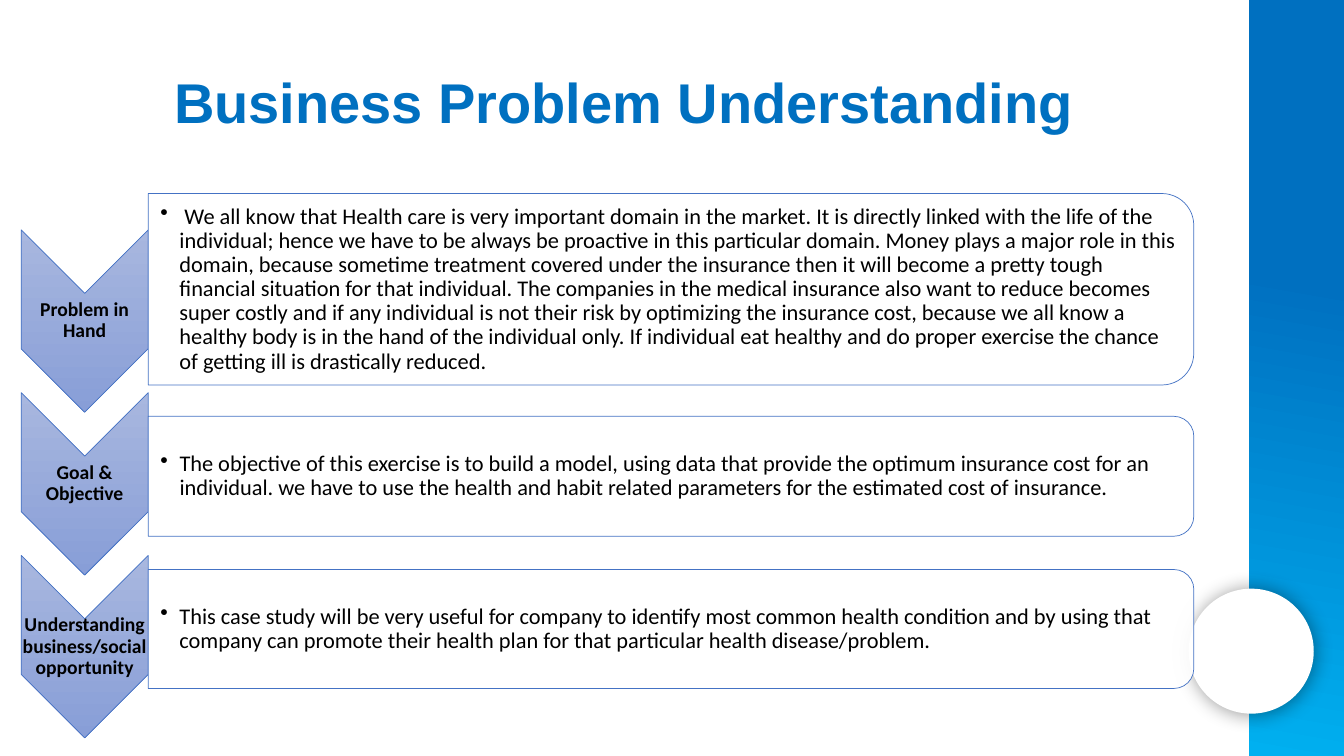
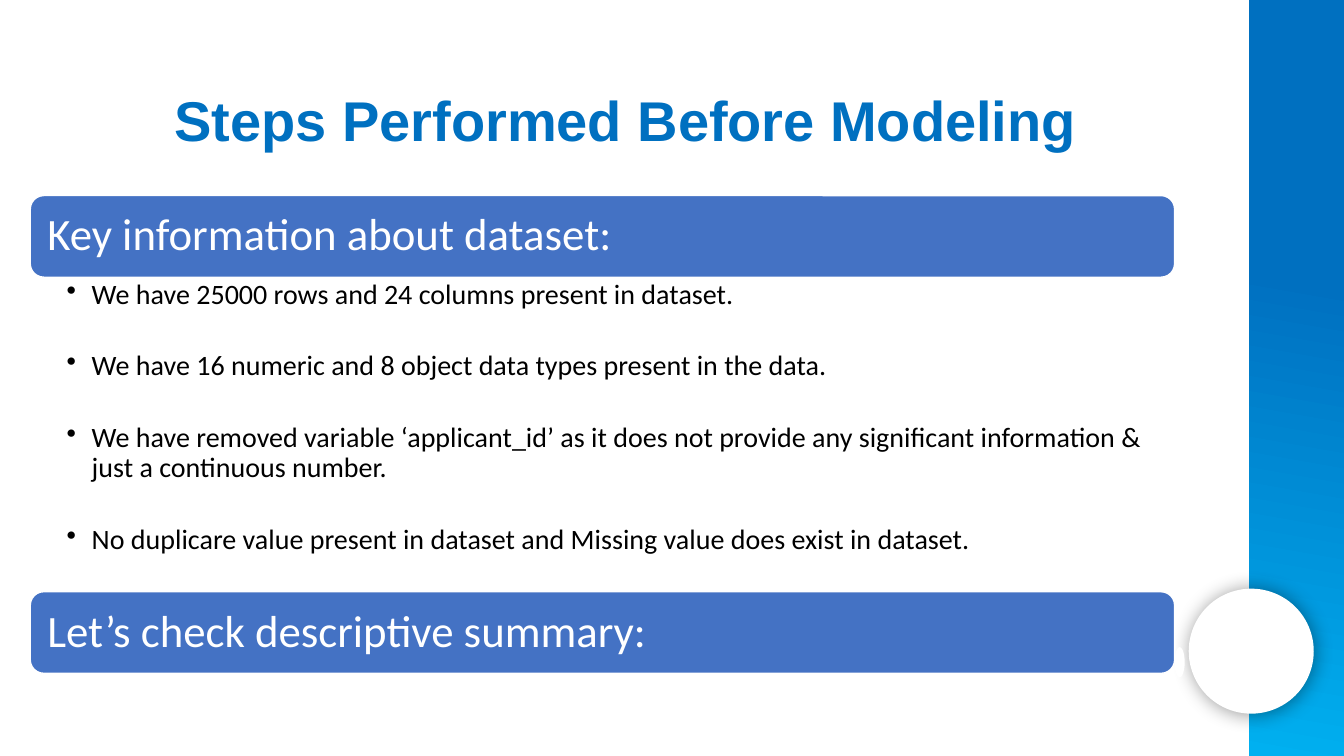
"""Build two health insurance slides: business problem and data preparation."""
from dataclasses import dataclass

from lxml import etree
from pptx import Presentation
from pptx.dml.color import RGBColor
from pptx.enum import shapes, text
from pptx.oxml.ns import qn
from pptx.util import Inches, Pt


@dataclass(frozen=True)
class Theme:
    """Colours, fonts and type sizes shared by the slides."""
    blue: str = "0070C0"
    sky: str = "00B0F0"
    accent: str = "4472C4"
    chevron_top: str = "A8B7DF"
    chevron_bottom: str = "889ED7"
    white: str = "FFFFFF"
    black: str = "000000"
    title_font: str = "Arial"
    body_font: str = "Calibri"
    title_size: int = 40
    heading_size: int = 32
    list_size: int = 20
    panel_size: int = 16
    label_size: int = 14


THEME = Theme()
PRESET = shapes.MSO_SHAPE
ALIGN = text.PP_ALIGN
ANCHOR = text.MSO_ANCHOR

PROBLEM_ROWS = [
    ("Problem in Hand", 1.92, 1.9,
     " We all know that Health care is very important domain in the market. "
     "It is directly linked with the life of the individual; hence we have to be "
     "always be proactive in this particular domain. Money plays a major role in "
     "this domain, because sometime treatment covered under the insurance then it "
     "will become a pretty tough financial situation for that individual. The "
     "companies in the medical insurance also want to reduce becomes super costly "
     "and if any individual is not their risk by optimizing the insurance cost, "
     "because we all know a healthy body is in the hand of the individual only. If "
     "individual eat healthy and do proper exercise the chance of getting ill is "
     "drastically reduced."),
    ("Goal & Objective", 4.13, 1.19,
     "The objective of this exercise is to build a model, using data that provide "
     "the optimum insurance cost for an individual. we have to use the health and "
     "habit related parameters for the estimated cost of insurance."),
    ("Understanding business/social opportunity", 5.65, 1.18,
     "This case study will be very useful for company to identify most common "
     "health condition and by using that company can promote their health plan for "
     "that particular health disease/problem."),
]

DATASET_FACTS = [
    "We have 25000 rows and 24 columns present in dataset.",
    "We have 16 numeric and 8 object data types present in the data.",
    "We have removed variable ‘applicant_id’ as it does not provide any significant "
    "information & just a continuous number.",
    "No duplicare value present in dataset and Missing value does exist in dataset.",
]


def rgb(value):
    """Turn a hex string into a colour."""
    return RGBColor.from_string(value)


def add_shape(slide, preset, box, fill=None, line=None, width=0.5):
    """Add a flat preset shape at a box of left, top, width and height."""
    shape = slide.shapes.add_shape(preset, *map(Inches, box))
    shape.shadow.inherit = False
    if fill:
        shape.fill.solid()
        shape.fill.fore_color.rgb = rgb(fill)
    if line:
        shape.line.color.rgb = rgb(line)
        shape.line.width = Pt(width)
    else:
        shape.line.fill.background()
    return shape


def add_turned_shape(slide, preset, box, **style):
    """Add a shape turned a quarter clockwise that covers the given box."""
    left, top, width, height = box
    shift = (width - height) / 2
    turned_box = (left + shift, top - shift, height, width)
    shape = add_shape(slide, preset, turned_box, **style)
    shape.rotation = 90
    return shape


def set_gradient(shape, start, end, angle, first_stop=0):
    """Fill a shape with a gradient whose clockwise angle stays with the slide."""
    shape.fill.gradient()
    shape.fill.gradient_angle = 360 - angle
    stops = zip(shape.fill.gradient_stops, (start, end), (first_stop, 1))
    for stop, colour, position in stops:
        stop.color.rgb = rgb(colour)
        stop.position = position
    shape._element.spPr.find(qn("a:gradFill")).set("rotWithShape", "0")


def add_alpha(colour_element, percent):
    """Set the opacity of a colour element."""
    etree.SubElement(colour_element, qn("a:alpha"), val=str(percent * 1000))


def add_soft_shadow(shape):
    """Give a shape a blurred dark shadow."""
    effects = shape._element.spPr.find(qn("a:effectLst"))
    shadow = etree.SubElement(
        effects, qn("a:outerShdw"), blurRad=str(Pt(14)), dist=str(Pt(1)),
        dir=str(43 * 60000), algn="ctr", rotWithShape="0")
    add_alpha(etree.SubElement(shadow, qn("a:srgbClr"), val=THEME.black), 40)


def set_frame(frame, insets, anchor):
    """Set wrapping, insets (left, top, right, bottom) and anchor."""
    frame.word_wrap = True
    frame.auto_size = text.MSO_AUTO_SIZE.NONE
    frame.vertical_anchor = anchor
    (frame.margin_left, frame.margin_top,
     frame.margin_right, frame.margin_bottom) = map(Inches, insets)


def style_paragraph(paragraph, size, colour=THEME.black, bold=False,
                    font=THEME.body_font, align=ALIGN.LEFT, spacing=0.9):
    """Format a paragraph and its runs."""
    paragraph.alignment = align
    paragraph.line_spacing = spacing
    for run in paragraph.runs:
        run.font.name = font
        run.font.size = Pt(size)
        run.font.bold = bold
        run.font.color.rgb = rgb(colour)


def add_bullet(paragraph, indent):
    """Give a paragraph a round bullet with a hanging indent."""
    properties = paragraph._p.get_or_add_pPr()
    properties.set("marL", str(Inches(indent)))
    properties.set("indent", str(-Inches(indent)))
    etree.SubElement(properties, qn("a:buChar"), char="•")


def add_text(slide, box, lines, insets, anchor, bullet=0, gap=0, **style):
    """Add a text box with one paragraph for each line."""
    frame = slide.shapes.add_textbox(*map(Inches, box)).text_frame
    set_frame(frame, insets, anchor)
    frame.text = "\n".join(lines)
    for paragraph in frame.paragraphs:
        if bullet:
            add_bullet(paragraph, bullet)
        style_paragraph(paragraph, **style)
        paragraph.space_after = Pt(gap)


def add_side_band(slide):
    """Draw the blue band and the white disc at the right edge."""
    band = add_shape(slide, PRESET.RECTANGLE, (12.39, 0, 0.94, 7.5))
    set_gradient(band, THEME.blue, THEME.sky, 100, 0.37)
    disc = add_shape(slide, PRESET.OVAL, (11.79, 5.84, 1.24, 1.24), THEME.white)
    add_soft_shadow(disc)


def add_titled_slide(presentation, title, box, align):
    """Add a slide with the shared band and a title in the given box."""
    slide = presentation.slides.add_slide(presentation.slide_layouts[5])
    add_side_band(slide)
    shape = slide.shapes.title
    shape.left, shape.top, shape.width, shape.height = map(Inches, box)
    shape.text_frame.text = title
    set_frame(shape.text_frame, (0.1, 0.05, 0.1, 0.05), ANCHOR.MIDDLE)
    style_paragraph(shape.text_frame.paragraphs[0], THEME.title_size, THEME.blue,
                    True, THEME.title_font, align, 1.0)
    return slide


def add_chevron(slide, box, label):
    """Draw a downward chevron with its label in the middle."""
    left, top, width, height = box
    chevron = add_turned_shape(slide, PRESET.CHEVRON, box, line=THEME.accent)
    set_gradient(chevron, THEME.chevron_top, THEME.chevron_bottom, 90)
    label_height = height - 2 * width / 2
    label_box = (left, top + width / 2, width, label_height)
    add_text(slide, label_box, [label], (0.01,) * 4, ANCHOR.MIDDLE,
             size=THEME.label_size, bold=True, align=ALIGN.CENTER)


def add_panel(slide, box, body):
    """Draw a panel with rounded right corners and one bullet."""
    left, top, width, height = box
    panel = add_turned_shape(slide, PRESET.ROUND_2_SAME_RECTANGLE, box,
                             fill=THEME.white, line=THEME.accent)
    solid_fill = panel._element.spPr.find(qn("a:solidFill"))
    add_alpha(solid_fill[0], 90)
    corner = 0.05 * height
    text_box = (left, top + corner, width - corner, height - 2 * corner)
    add_text(slide, text_box, [body], (0.12, 0.01, 0.01, 0.01), ANCHOR.MIDDLE,
             bullet=0.19, size=THEME.panel_size)


def add_heading_bar(slide, box, heading):
    """Draw a rounded blue bar that carries a heading."""
    bar = add_shape(slide, PRESET.ROUNDED_RECTANGLE, box, THEME.accent,
                    THEME.white, 1)
    set_frame(bar.text_frame, (0.13,) * 4, ANCHOR.MIDDLE)
    bar.text_frame.text = heading
    style_paragraph(bar.text_frame.paragraphs[0], THEME.heading_size, THEME.white)


def build_problem_slide(presentation):
    """Build the slide on the business problem."""
    slide = add_titled_slide(presentation, "Business Problem Understanding",
                             (0.41, 0.62, 11.55, 0.77), ALIGN.CENTER)
    left, top, width, height, pitch = 0.21, 2.28, 1.26, 1.81, 1.615
    for index, (label, panel_top, panel_height, body) in enumerate(PROBLEM_ROWS):
        add_chevron(slide, (left, top + index * pitch, width, height), label)
        add_panel(slide, (left + width, panel_top, 10.37, panel_height), body)


def build_steps_slide(presentation):
    """Build the slide on the steps before modeling."""
    slide = add_titled_slide(presentation, "Steps Performed Before Modeling",
                             (1.63, 0.8, 9.97, 0.77), ALIGN.LEFT)
    left, top, width, bar_height, list_height = 0.3, 1.94, 11.35, 0.81, 3.12
    list_top = top + bar_height
    add_heading_bar(slide, (left, top, width, bar_height),
                    "Key information about dataset:")
    add_text(slide, (left, list_top, width, list_height), DATASET_FACTS,
             (0.36, 0.03, 0.16, 0.03), ANCHOR.TOP, bullet=0.25, gap=29.5,
             size=THEME.list_size)
    add_heading_bar(slide, (left, list_top + list_height, width, bar_height),
                    "Let’s check descriptive summary:")
    add_shape(slide, PRESET.OVAL, (left + width, 6.42, 0.1, 0.3), THEME.white)


def main():
    """Build and save the presentation."""
    presentation = Presentation()
    presentation.slide_width = Inches(13.33)
    presentation.slide_height = Inches(7.5)
    build_problem_slide(presentation)
    build_steps_slide(presentation)
    presentation.save("out.pptx")


if __name__ == "__main__":
    main()
